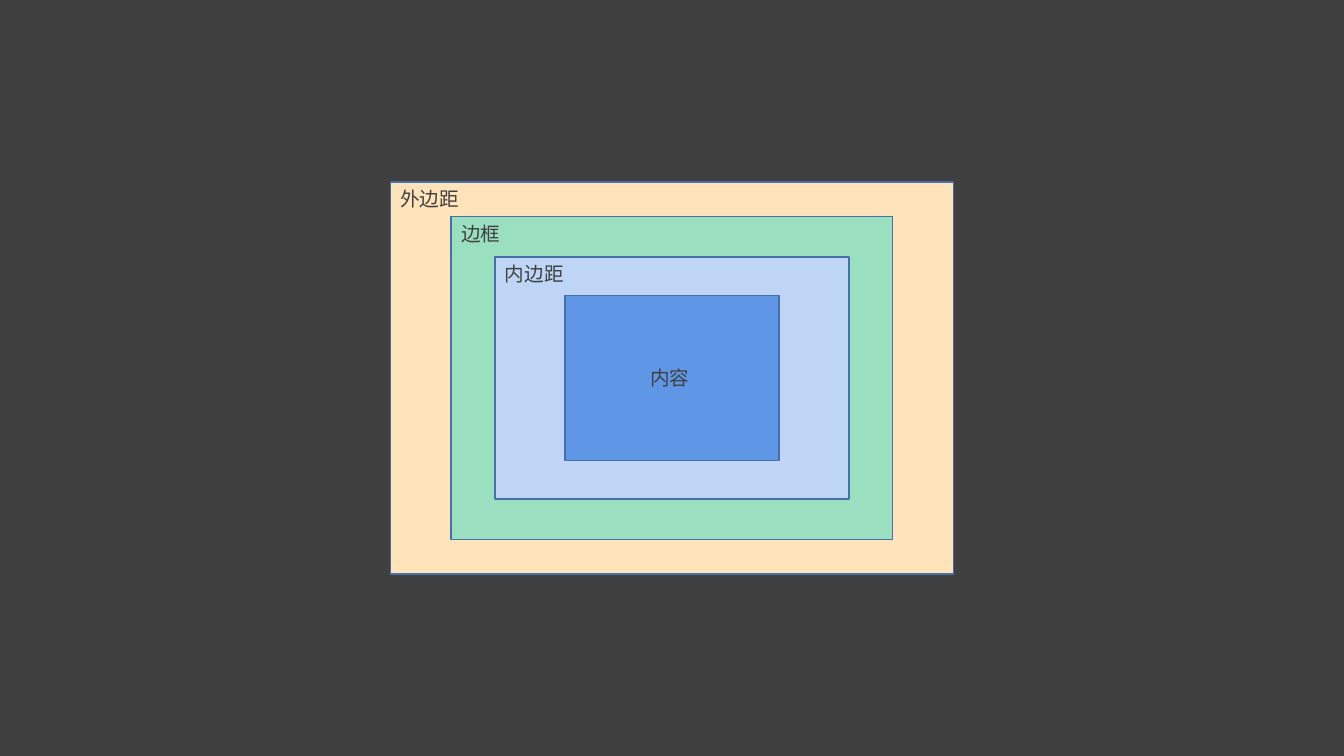
from dataclasses import dataclass

from pptx import Presentation
from pptx.dml.color import RGBColor
from pptx.enum.shapes import MSO_SHAPE
from pptx.enum.text import MSO_AUTO_SIZE
from pptx.slide import Slide
from pptx.util import Inches, Pt

SLIDE_WIDTH = 13.33
SLIDE_HEIGHT = 7.5
LABEL_HEIGHT = 0.34


@dataclass(frozen=True)
class Theme:
    dark: str = "404040"
    outline: str = "476FAA"
    margin: str = "FFE3BB"
    border: str = "9ADFBF"
    padding: str = "BFD5F5"
    content: str = "6096E6"
    font: str = "Arial"
    label_size: int = 14
    outline_width: int = 1


@dataclass(frozen=True)
class BoxLayer:
    label: str
    label_width: float
    width: float
    height: float
    fill: str
    label_centered: bool = False

    @property
    def left(self) -> float:
        return (SLIDE_WIDTH - self.width) / 2

    @property
    def top(self) -> float:
        return (SLIDE_HEIGHT - self.height) / 2


THEME = Theme()
LAYERS = [
    BoxLayer("外边距", 0.86, 5.59, 3.89, THEME.margin),
    BoxLayer("边框", 0.63, 4.38, 3.2, THEME.border),
    BoxLayer("内边距", 0.86, 3.51, 2.4, THEME.padding),
    BoxLayer("内容", 0.63, 2.12, 1.64, THEME.content, label_centered=True),
]


def add_text(
    slide: Slide,
    text: str,
    *,
    left: float,
    top: float,
    width: float,
    height: float = LABEL_HEIGHT,
    size: int = THEME.label_size,
    color: str = THEME.dark,
    font: str = THEME.font,
) -> None:
    text_box = slide.shapes.add_textbox(
        Inches(left), Inches(top), Inches(width), Inches(height)
    )
    frame = text_box.text_frame
    frame.word_wrap = False
    frame.auto_size = MSO_AUTO_SIZE.SHAPE_TO_FIT_TEXT
    run = frame.paragraphs[0].add_run()
    run.text = text
    run.font.name = font
    run.font.size = Pt(size)
    run.font.color.rgb = RGBColor.from_string(color)


def draw_layer(slide: Slide, layer: BoxLayer) -> None:
    shape = slide.shapes.add_shape(
        MSO_SHAPE.RECTANGLE,
        Inches(layer.left),
        Inches(layer.top),
        Inches(layer.width),
        Inches(layer.height),
    )
    shape.shadow.inherit = False
    shape.fill.solid()
    shape.fill.fore_color.rgb = RGBColor.from_string(layer.fill)
    shape.line.color.rgb = RGBColor.from_string(THEME.outline)
    shape.line.width = Pt(THEME.outline_width)


def draw_label(slide: Slide, layer: BoxLayer) -> None:
    left, top = layer.left, layer.top
    if layer.label_centered:
        left += (layer.width - layer.label_width) / 2
        top += (layer.height - LABEL_HEIGHT) / 2
    add_text(slide, layer.label, left=left, top=top, width=layer.label_width)


def main() -> None:
    presentation = Presentation()
    presentation.slide_width = Inches(SLIDE_WIDTH)
    presentation.slide_height = Inches(SLIDE_HEIGHT)
    slide = presentation.slides.add_slide(presentation.slide_layouts[6])
    background = slide.background.fill
    background.solid()
    background.fore_color.rgb = RGBColor.from_string(THEME.dark)
    for layer in LAYERS:
        draw_layer(slide, layer)
    for layer in LAYERS:
        draw_label(slide, layer)
    presentation.save("out.pptx")


if __name__ == "__main__":
    main()
